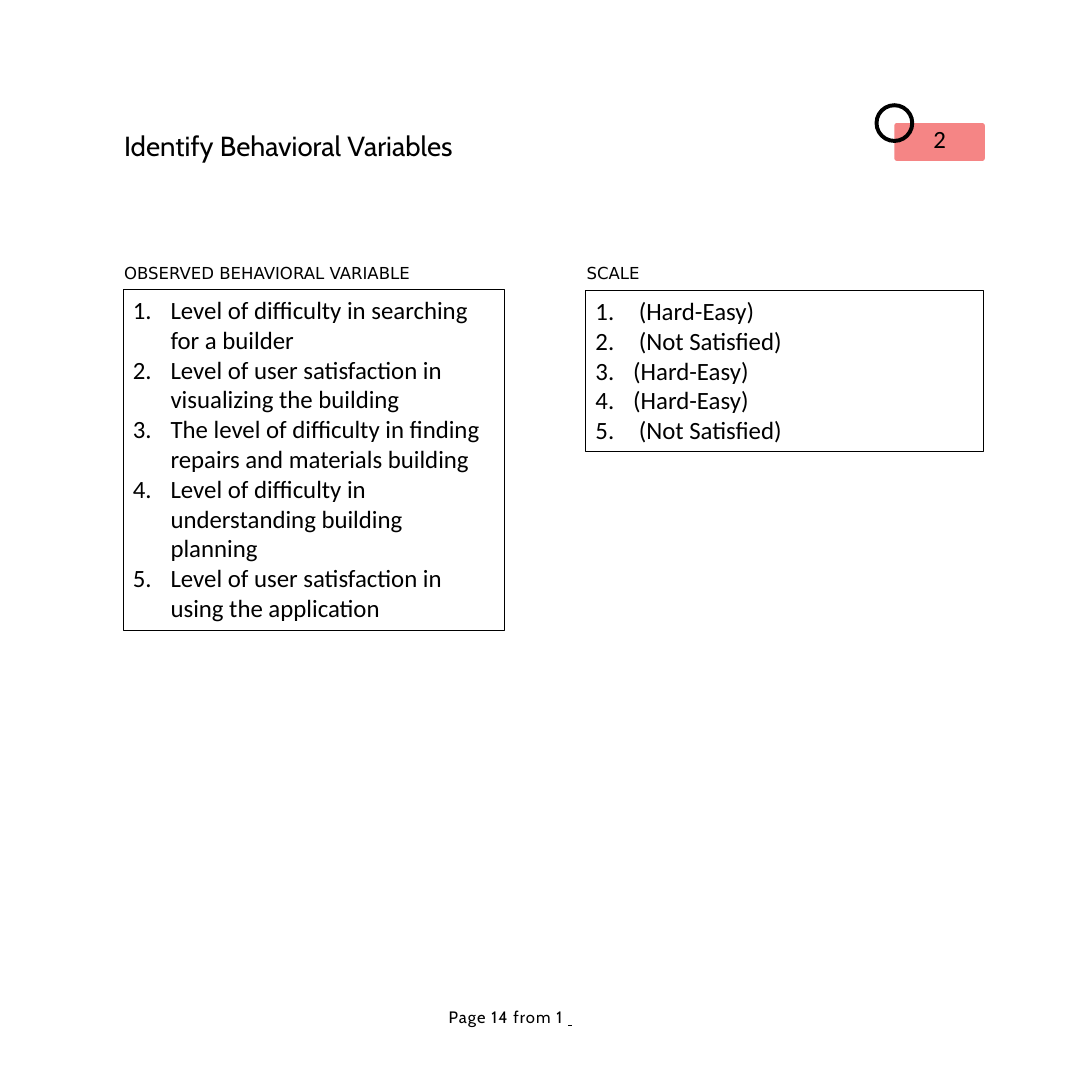
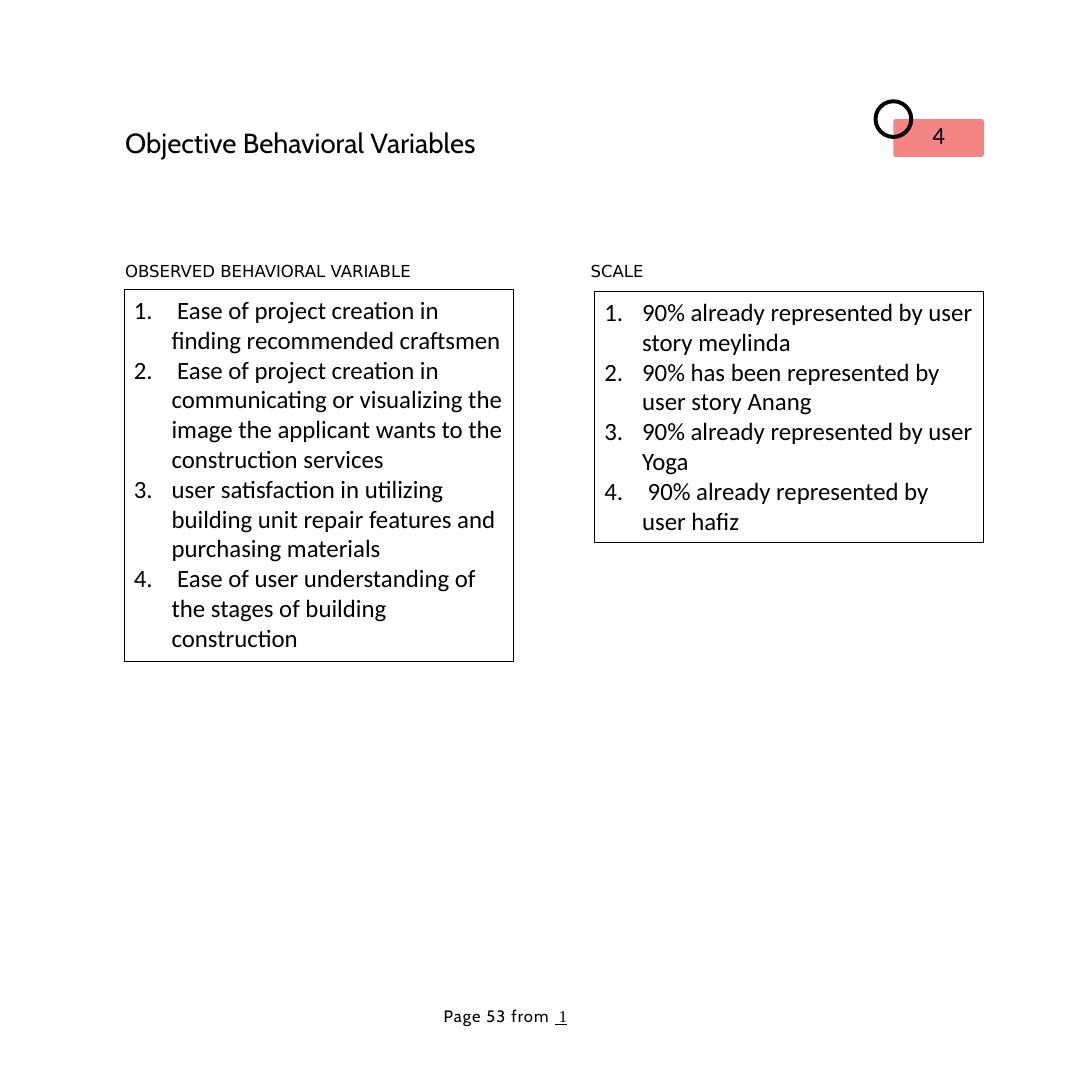
from lxml.etree import SubElement
from pptx import Presentation
from pptx.dml.color import RGBColor
from pptx.enum.shapes import MSO_SHAPE
from pptx.enum.text import MSO_ANCHOR, PP_ALIGN
from pptx.oxml.ns import qn
from pptx.util import Inches, Pt

COLORS = {"text": "000000", "badge": "F58585"}
FONTS = {"title": "Cabin", "label": "DejaVu Sans", "body": "Calibri", "page": "Times New Roman"}

PAGES = [
    {
        "title": "Identify Behavioral Variables", "title_box": (1.24, 1.26, 5.84, 0.35),
        "number": "2", "badge_box": (8.81, 1.04, 1.11, 0.58),
        "footer": ("Page 14 from 1 ", " "), "footer_box": (4.51, 10.15, 1.41, 0.2),
        "columns": [
            ("OBSERVED BEHAVIORAL VARIABLE", (1.24, 2.63, 3.08, 0.22), (1.24, 2.92, 3.84, 3.43), [
                "Level of difficulty in searching for a builder",
                "Level of user satisfaction in visualizing the building",
                "The level of difficulty in finding repairs and materials building",
                "Level of difficulty in understanding building planning",
                "Level of user satisfaction in using the application",
            ]),
            ("SCALE", (5.9, 2.63, 0.58, 0.22), (5.9, 2.93, 4.01, 1.62), [
                " (Hard-Easy)", " (Not Satisfied)", "(Hard-Easy)", "(Hard-Easy)", " (Not Satisfied)",
            ]),
        ],
    },
    {
        "title": "Objective Behavioral Variables", "title_box": (1.25, 1.23, 4.62, 0.35),
        "number": "4", "badge_box": (8.8, 1, 1.11, 0.58),
        "footer": ("Page 53 from ", " 1"), "footer_box": (4.46, 10.14, 1.41, 0.2),
        "columns": [
            ("OBSERVED BEHAVIORAL VARIABLE", (1.25, 2.61, 3.08, 0.22), (1.25, 2.92, 3.92, 3.74), [
                " Ease of project creation in finding recommended craftsmen",
                " Ease of project creation in communicating or visualizing the image "
                "the applicant wants to the construction services",
                "user satisfaction in utilizing building unit repair features and purchasing materials",
                " Ease of user understanding of the stages of building construction",
            ]),
            ("SCALE", (5.94, 2.61, 0.58, 0.22), (5.99, 2.94, 3.92, 2.52), [
                "90% already represented by user story meylinda",
                "90% has been represented by user story Anang",
                "90% already represented by user Yoga",
                " 90% already represented by user hafiz",
            ]),
        ],
    },
]


def style(font, name, size):
    """Set the face, size and text colour of a font."""
    font.name = name
    font.size = Pt(size)
    font.color.rgb = RGBColor.from_string(COLORS["text"])


def set_insets(frame, left=0.0, top=0.0):
    """Wrap a text frame, anchor it at the top and clear its right and bottom insets."""
    frame.word_wrap = True
    frame.vertical_anchor = MSO_ANCHOR.TOP
    frame.margin_left, frame.margin_top = Inches(left), Inches(top)
    frame.margin_right = frame.margin_bottom = 0


def add_shape(page, kind, box, fill=None):
    """Add a preset shape without shadow or line, filled if a colour is given."""
    shape = page.shapes.add_shape(kind, *map(Inches, box))
    shape.shadow.inherit = False
    shape.line.fill.background()
    if fill:
        shape.fill.solid()
        shape.fill.fore_color.rgb = RGBColor.from_string(COLORS[fill])
    else:
        shape.fill.background()
    return shape


def add_text(page, box, text, name, size, top):
    """Add one line of text."""
    frame = page.shapes.add_textbox(*map(Inches, box)).text_frame
    set_insets(frame, 0.01, top)
    frame.text = text
    style(frame.paragraphs[0].runs[0].font, name, size)


def add_badge(page, box, number):
    """Add the numbered block with a ring on its top left corner."""
    left, top, width, height = box
    ring = 0.4
    half = ring / 2
    block = add_shape(page, MSO_SHAPE.ROUNDED_RECTANGLE,
                      (left + half, top + half, width - half, height - half), "badge")
    block.adjustments[0] = 0.06
    set_insets(block.text_frame)
    block.text_frame.text = number
    para = block.text_frame.paragraphs[0]
    para.alignment = PP_ALIGN.CENTER
    style(para.runs[0].font, FONTS["body"], 18)
    circle = add_shape(page, MSO_SHAPE.DONUT, (left, top, ring, ring), "text")
    circle.adjustments[0] = 0.1


def add_numbered_list(page, box, items):
    """Add an outlined box holding a numbered list."""
    shape = add_shape(page, MSO_SHAPE.RECTANGLE, box)
    shape.line.color.rgb = RGBColor.from_string(COLORS["text"])
    shape.line.width = Pt(0.75)
    frame = shape.text_frame
    frame.word_wrap = True
    frame.vertical_anchor = MSO_ANCHOR.TOP
    frame.text = "\n".join(items)
    for para in frame.paragraphs:
        para.alignment = PP_ALIGN.LEFT
        properties = para._p.get_or_add_pPr()
        properties.set("marL", str(Inches(0.38)))
        properties.set("indent", str(-Inches(0.38)))
        SubElement(properties, qn("a:buAutoNum"), type="arabicPeriod")
        style(para.runs[0].font, FONTS["body"], 18)


def add_footer(page, box, label, underlined):
    """Add the page line with its underlined end."""
    frame = page.shapes.add_textbox(*map(Inches, box)).text_frame
    set_insets(frame, 0.01)
    para = frame.paragraphs[0]
    para.line_spacing = Pt(14.1)
    for text, name in ((label, FONTS["title"]), (underlined, FONTS["page"])):
        span = para.add_run()
        span.text = text
        style(span.font, name, 12)
    para.runs[0]._r.get_or_add_rPr().set("spc", "77")
    para.runs[1].font.underline = True


def add_page(deck, content):
    """Add one slide with title, badge, two labelled lists and footer."""
    page = deck.slides.add_slide(deck.slide_layouts[6])
    add_text(page, content["title_box"], content["title"], FONTS["title"], 20, 0.04)
    add_badge(page, content["badge_box"], content["number"])
    for label, label_box, list_box, items in content["columns"]:
        add_text(page, label_box, label, FONTS["label"], 12, 0.02)
        add_numbered_list(page, list_box, items)
    add_footer(page, content["footer_box"], *content["footer"])


def main():
    """Build and save the deck."""
    deck = Presentation()
    deck.slide_width = deck.slide_height = Inches(11)
    for content in PAGES:
        add_page(deck, content)
    deck.save("out.pptx")


if __name__ == "__main__":
    main()
